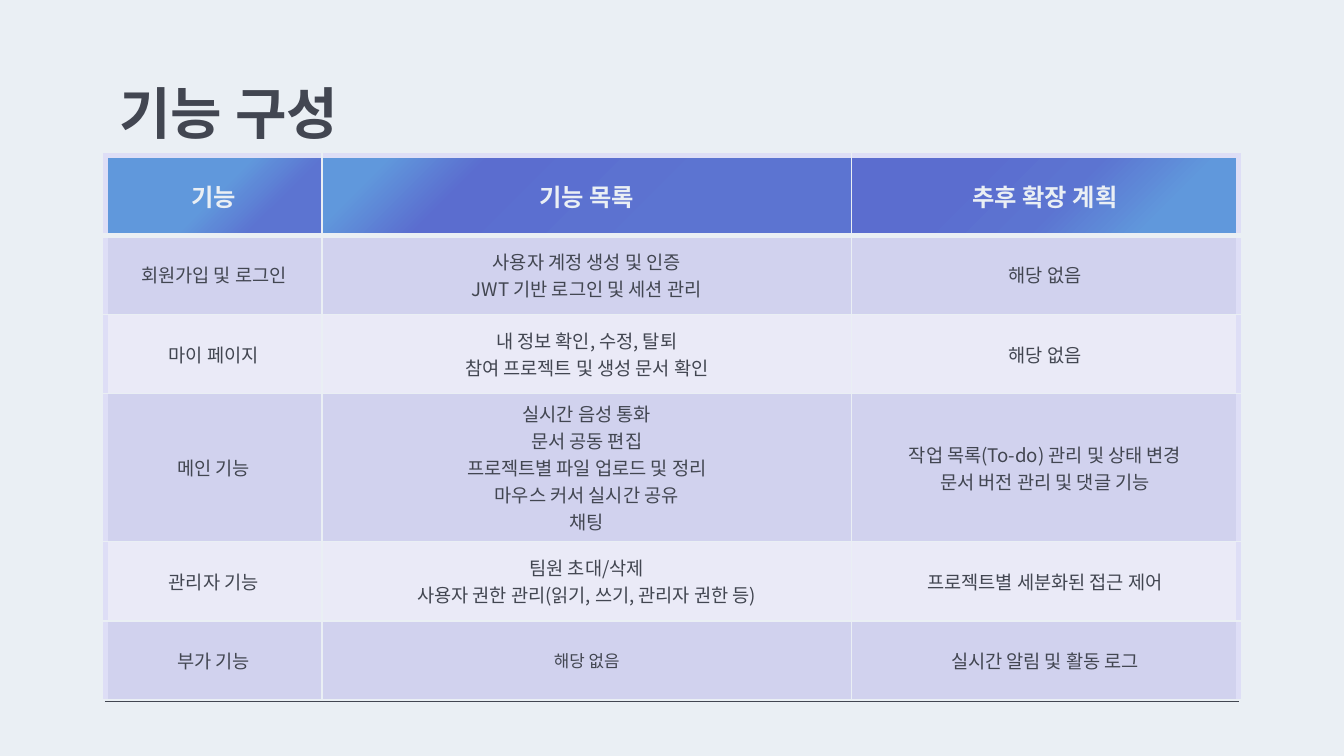
from lxml.etree import SubElement
from pptx import Presentation
from pptx.dml.color import RGBColor
from pptx.enum.shapes import MSO_CONNECTOR
from pptx.enum.text import MSO_ANCHOR, PP_ALIGN
from pptx.oxml.ns import qn
from pptx.util import Inches, Pt

FONT = "Noto Sans CJK KR"
PALE = RGBColor(0xEA, 0xEF, 0xF4)
DARK = RGBColor(0x42, 0x46, 0x51)
LILAC = RGBColor(0xDE, 0xDE, 0xF6)
BAND_DARK = RGBColor(0xD1, 0xD2, 0xEE)
BAND_LIGHT = RGBColor(0xEA, 0xEA, 0xF7)
SKY = RGBColor(0x60, 0x98, 0xDC)
INDIGO = RGBColor(0x5B, 0x6D, 0xCF)
VIOLET = RGBColor(0x5C, 0x74, 0xD1)

HEADER_GRADIENTS = [
    [(50, SKY), (75, VIOLET)],
    [(11, SKY), (28, INDIGO), (71, VIOLET)],
    [(28, INDIGO), (54, VIOLET), (79, SKY)],
]
ROWS = [
    ["기능", "기능 목록", "추후 확장 계획"],
    ["회원가입 및 로그인", "사용자 계정 생성 및 인증\nJWT 기반 로그인 및 세션 관리", "해당 없음"],
    ["마이 페이지", "내 정보 확인, 수정, 탈퇴\n참여 프로젝트 및 생성 문서 확인", "해당 없음"],
    ["메인 기능",
     "실시간 음성 통화\n문서 공동 편집\n프로젝트별 파일 업로드 및 정리\n마우스 커서 실시간 공유\n채팅",
     "작업 목록(To-do) 관리 및 상태 변경\n문서 버전 관리 및 댓글 기능"],
    ["관리자 기능", "팀원 초대/삭제\n사용자 권한 관리(읽기, 쓰기, 관리자 권한 등)",
     "프로젝트별 세분화된 접근 제어"],
    ["부가 기능", "해당 없음", "실시간 알림 및 활동 로그"],
]
COLUMN_WIDTHS = [1.61, 3.94, 2.88]
ROW_HEIGHTS = [0.59, 0.59, 0.59, 1.1, 0.59, 0.59]


def write_text(text_frame, text, align, size, color, bold):
    text_frame.text = text
    for paragraph in text_frame.paragraphs:
        paragraph.alignment = align
        for run in paragraph.runs:
            values = {"name": FONT, "size": Pt(size), "bold": bold}
            for name, value in values.items():
                setattr(run.font, name, value)
            run.font.color.rgb = color
            run.font._element.set("kern", "0")
            SubElement(run.font._element, qn("a:ea"), typeface=FONT)


def add_border(properties, side, color, width):
    line = SubElement(properties, qn(f"a:ln{side}"), w=str(Pt(width)))
    fill = SubElement(line, qn("a:solidFill"))
    SubElement(fill, qn("a:srgbClr"), val=str(color))


# Widescreen 16:9 slide
presentation = Presentation()
presentation.slide_width = Inches(10)
presentation.slide_height = Inches(10) * 9 // 16
slide = presentation.slides.add_slide(presentation.slide_layouts[6])
slide.background.fill.solid()
slide.background.fill.fore_color.rgb = PALE

# Bottom rule
rule = slide.shapes.add_connector(
    MSO_CONNECTOR.STRAIGHT, Inches(0.78), Inches(5.22), Inches(9.22), Inches(5.22))
rule.line.color.rgb = DARK
rule.line.width = Pt(0.75)
SubElement(rule._element.spPr, qn("a:effectLst"))

# Title
title = slide.shapes.add_textbox(Inches(0.79), Inches(0.52), Inches(8.43), Inches(0.63))
title_format = {"word_wrap": True, "vertical_anchor": MSO_ANCHOR.MIDDLE}
for side in ("left", "top", "right", "bottom"):
    title_format[f"margin_{side}"] = Inches(0.1)
for name, value in title_format.items():
    setattr(title.text_frame, name, value)
write_text(title.text_frame, "기능 구성", PP_ALIGN.LEFT, 30, DARK, True)

# Feature table, centred across the slide
table_width = Inches(sum(COLUMN_WIDTHS))
table = slide.shapes.add_table(
    len(ROWS), len(COLUMN_WIDTHS), (presentation.slide_width - table_width) // 2,
    Inches(1.16), table_width, Inches(sum(ROW_HEIGHTS))).table
for column, width in zip(table.columns, COLUMN_WIDTHS):
    column.width = Inches(width)
for table_row, height in zip(table.rows, ROW_HEIGHTS):
    table_row.height = Inches(height)

last_column = len(COLUMN_WIDTHS) - 1
for row_index, row in enumerate(ROWS):
    is_header = row_index == 0
    for column_index, text in enumerate(row):
        cell = table.cell(row_index, column_index)
        cell.vertical_anchor = MSO_ANCHOR.MIDDLE
        if is_header:
            size, color = 13, PALE
        else:
            size, color = (9 if (row_index, column_index) == (5, 1) else 10), DARK
        write_text(cell.text_frame, text, PP_ALIGN.CENTER, size, color, is_header)

        # Lilac outer edges, pale inner grid, thick line below the header
        properties = cell._tc.get_or_add_tcPr()
        thin, edge = (PALE, 1), (LILAC, 3)
        borders = {
            "L": edge if column_index == 0 else thin,
            "R": edge if column_index == last_column else thin,
            "T": edge if is_header else (PALE, 3) if row_index == 1 else thin,
            "B": (PALE, 3) if is_header else thin,
        }
        for side, (line_color, width) in borders.items():
            add_border(properties, side, line_color, width)

        # Gradient header, banded body
        if is_header:
            gradient = SubElement(properties, qn("a:gradFill"))
            stops = SubElement(gradient, qn("a:gsLst"))
            for position, stop_color in HEADER_GRADIENTS[column_index]:
                stop = SubElement(stops, qn("a:gs"), pos=str(position * 1000))
                SubElement(stop, qn("a:srgbClr"), val=str(stop_color))
            SubElement(gradient, qn("a:lin"), ang=str(45 * 60000), scaled="0")
        else:
            cell.fill.solid()
            cell.fill.fore_color.rgb = BAND_DARK if row_index % 2 else BAND_LIGHT

presentation.save("out.pptx")
